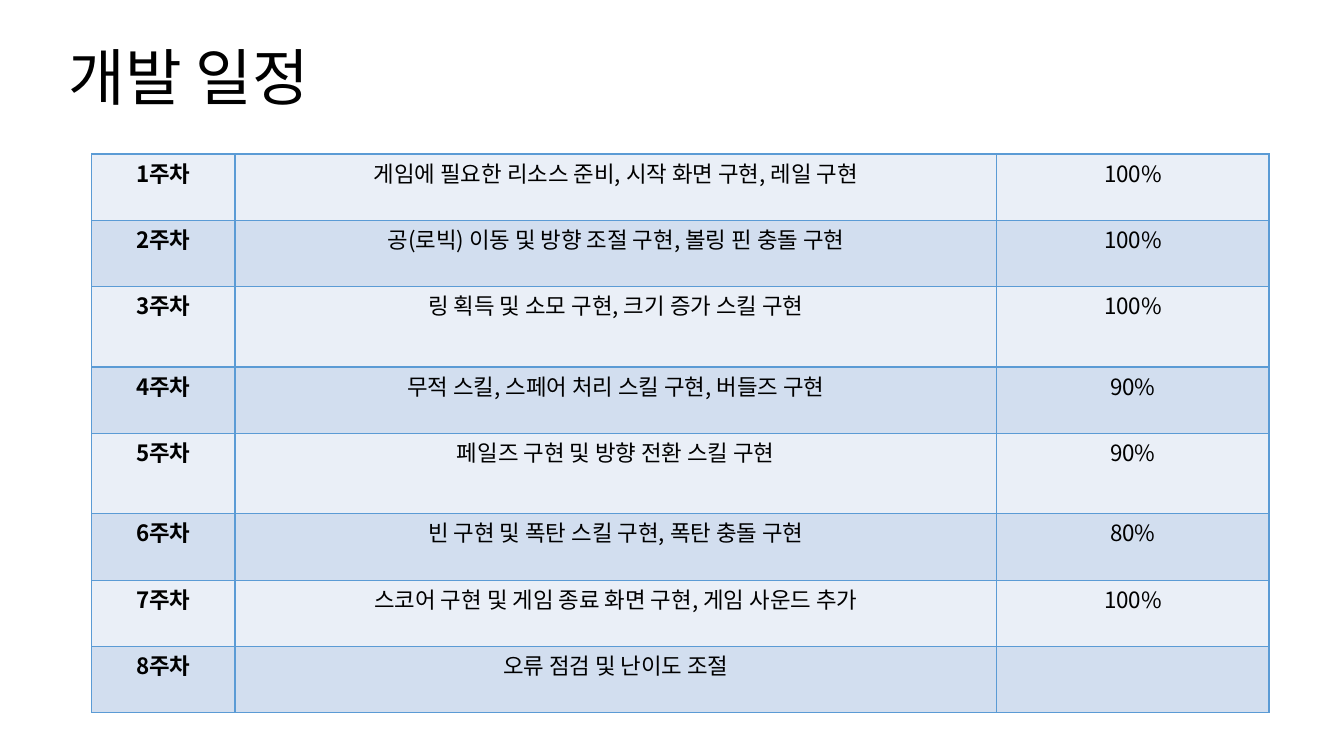
from dataclasses import dataclass

from lxml.etree import SubElement
from pptx import Presentation
from pptx.dml.color import RGBColor as Color
from pptx.enum.text import MSO_ANCHOR as Anchor, MSO_AUTO_SIZE as AutoSize, PP_ALIGN as Align
from pptx.oxml import parse_xml
from pptx.oxml.ns import nsdecls, qn
from pptx.util import Cm, Pt


@dataclass(frozen=True)
class Theme:
    font: str = "Noto Sans CJK KR"
    text: str = "000000"
    border: str = "5B9BD5"
    bands: tuple = ("EAEFF7", "D2DEEF")
    title_size: int = 44
    body_size: int = 16


THEME = Theme()
TITLE = "개발 일정"
SCHEDULE = [
    ("게임에 필요한 리소스 준비, 시작 화면 구현, 레일 구현", "100%"),
    ("공(로빅) 이동 및 방향 조절 구현, 볼링 핀 충돌 구현", "100%"),
    ("링 획득 및 소모 구현, 크기 증가 스킬 구현", "100%"),
    ("무적 스킬, 스페어 처리 스킬 구현, 버들즈 구현", "90%"),
    ("페일즈 구현 및 방향 전환 스킬 구현", "90%"),
    ("빈 구현 및 폭탄 스킬 구현, 폭탄 충돌 구현", "80%"),
    ("스코어 구현 및 게임 종료 화면 구현, 게임 사운드 추가", "100%"),
    ("오류 점검 및 난이도 조절", ""),
]
COLUMN_WIDTHS = (3.61, 19.2, 6.86)
ROW_HEIGHT, TALL_ROW_HEIGHT = 1.67, 2.03
TALL_WEEKS = (3, 5)


def write_text(frame, text, size=THEME.body_size, bold=False, align=Align.CENTER,
               line_spacing=1.07, space_after=8):
    paragraph = frame.paragraphs[0]
    paragraph.alignment = align
    paragraph.line_spacing = line_spacing
    paragraph.space_after = Pt(space_after)
    run = paragraph.add_run()
    run.text = text
    run.font.name = THEME.font
    run.font.size = Pt(size)
    run.font.bold = bold
    run.font.color.rgb = Color.from_string(THEME.text)
    SubElement(run.font._element, qn("a:ea"), typeface=THEME.font)


def add_borders(cell):
    properties = cell._tc.get_or_add_tcPr()
    for index, side in enumerate(("lnL", "lnR", "lnT", "lnB")):
        properties.insert(index, parse_xml(
            f'<a:{side} {nsdecls("a")} w="{Pt(1)}"><a:solidFill>'
            f'<a:srgbClr val="{THEME.border}"/></a:solidFill></a:{side}>'))


def format_cell(cell, text, fill, bold):
    cell.margin_left = cell.margin_right = Cm(0.15)
    cell.margin_top = cell.margin_bottom = 0
    cell.fill.solid()
    cell.fill.fore_color.rgb = Color.from_string(fill)
    add_borders(cell)
    if text:
        write_text(cell.text_frame, text, bold=bold)


def add_title(slide):
    title = slide.shapes.title
    title.left, title.top, title.width, title.height = Cm(1.47), Cm(0.79), Cm(7.8), Cm(2.49)
    title.text_frame.auto_size = AutoSize.NONE
    title.text_frame.vertical_anchor = Anchor.MIDDLE
    write_text(title.text_frame, TITLE, size=THEME.title_size, align=Align.LEFT,
               line_spacing=0.9, space_after=0)


def add_schedule(slide):
    heights = [TALL_ROW_HEIGHT if week in TALL_WEEKS else ROW_HEIGHT
               for week in range(1, len(SCHEDULE) + 1)]
    table = slide.shapes.add_table(
        len(SCHEDULE), len(COLUMN_WIDTHS), Cm(2.31), Cm(3.88),
        Cm(sum(COLUMN_WIDTHS)), Cm(sum(heights))).table
    for column, width in zip(table.columns, COLUMN_WIDTHS):
        column.width = Cm(width)
    for row_index, (row, height, entry) in enumerate(zip(table.rows, heights, SCHEDULE)):
        row.height = Cm(height)
        fill = THEME.bands[row_index % 2]
        texts = (f"{row_index + 1}주차", *entry)
        for column_index, (cell, text) in enumerate(zip(row.cells, texts)):
            format_cell(cell, text, fill, bold=column_index == 0)


presentation = Presentation()
presentation.slide_width, presentation.slide_height = Cm(33.87), Cm(19.05)
slide = presentation.slides.add_slide(presentation.slide_layouts[5])
add_title(slide)
add_schedule(slide)
presentation.save("out.pptx")
